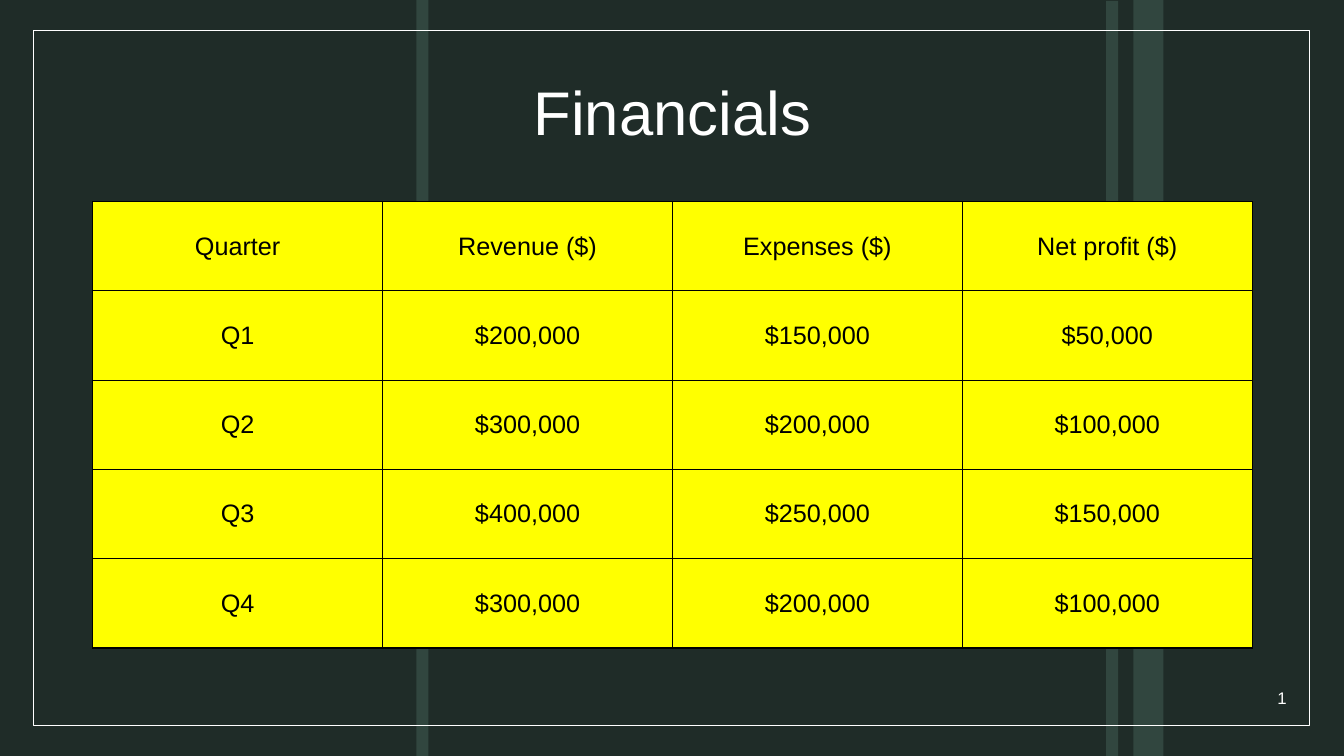
from lxml import etree
from pptx import Presentation
from pptx.dml.color import RGBColor
from pptx.enum import shapes, text
from pptx.oxml import ns
from pptx.util import Inches, Pt

DARK = RGBColor(0x1F, 0x2C, 0x28)
GREEN = RGBColor(0x31, 0x46, 0x3F)
WHITE = RGBColor(0xFF, 0xFF, 0xFF)
YELLOW = RGBColor(0xFF, 0xFF, 0x00)
BLACK = RGBColor(0x00, 0x00, 0x00)
FONT = "Arial"

TITLE = "Financials"
ROWS = [
    ("Quarter", "Revenue ($)", "Expenses ($)", "Net profit ($)"),
    ("Q1", "$200,000", "$150,000", "$50,000"),
    ("Q2", "$300,000", "$200,000", "$100,000"),
    ("Q3", "$400,000", "$250,000", "$150,000"),
    ("Q4", "$300,000", "$200,000", "$100,000"),
]
BANDS = [(10.97, 0.01, 0.12), (4.13, 0, 0.12), (11.24, 0, 0.3)]
FRAME = (0.33, 0.3, 12.66, 6.9)
TITLE_BOX = (0.42, 0.42, 12.5, 1.45)
TABLE_BOX = (0.92, 2, 11.5, 4.43)
NUMBER_BOX = (11.94, 6.72, 0.92, 0.4)


def box(dims):
    return [Inches(d) for d in dims]


def add_rect(s, dims):
    sp = s.shapes.add_shape(shapes.MSO_SHAPE.RECTANGLE, *box(dims))
    sp.shadow.inherit = False
    return sp


def format_text(tf, size, color, align):
    tf.vertical_anchor = text.MSO_ANCHOR.MIDDLE
    p = tf.paragraphs[0]
    p.alignment = align
    for r in p.runs:
        r.font.name = FONT
        r.font.size = Pt(size)
        r.font.color.rgb = color


def add_borders(cell):
    tc_pr = cell._tc.get_or_add_tcPr()
    for i, side in enumerate(("lnL", "lnR", "lnT", "lnB")):
        ln = etree.Element(ns.qn("a:" + side), w=str(Pt(1)))
        fill = etree.SubElement(ln, ns.qn("a:solidFill"))
        etree.SubElement(fill, ns.qn("a:srgbClr"), val=str(BLACK))
        tc_pr.insert(i, ln)


def add_background(s):
    s.background.fill.solid()
    s.background.fill.fore_color.rgb = DARK
    for left, top, width in BANDS:
        band = add_rect(s, (left, top, width, 7.5 - top))
        band.fill.solid()
        band.fill.fore_color.rgb = GREEN
        band.line.fill.background()
    frame = add_rect(s, FRAME)
    frame.fill.background()
    frame.line.color.rgb = WHITE
    frame.line.width = Pt(1)


def add_title(s):
    title = s.shapes.title
    title.left, title.top, title.width, title.height = box(TITLE_BOX)
    title.text_frame.text = TITLE
    title.text_frame.paragraphs[0].line_spacing = 0.9
    format_text(title.text_frame, 44, WHITE, text.PP_ALIGN.CENTER)


def add_financials(s):
    table = s.shapes.add_table(len(ROWS), len(ROWS[0]), *box(TABLE_BOX)).table
    table.first_row = False
    table.horz_banding = False
    for i, row in enumerate(ROWS):
        for j, value in enumerate(row):
            cell = table.cell(i, j)
            cell.text_frame.text = value
            format_text(cell.text_frame, 18, BLACK, text.PP_ALIGN.CENTER)
            cell.vertical_anchor = text.MSO_ANCHOR.MIDDLE
            cell.fill.solid()
            cell.fill.fore_color.rgb = YELLOW
            add_borders(cell)


def add_slide_number(s):
    tf = s.shapes.add_textbox(*box(NUMBER_BOX)).text_frame
    tf.word_wrap = True
    tf.text = "1"
    format_text(tf, 12, WHITE, text.PP_ALIGN.RIGHT)
    r = tf.paragraphs[0].runs[0]._r
    r.tag = ns.qn("a:fld")
    r.set("id", "{B6F15528-21DE-4FAA-801E-634DDDAF4B2B}")
    r.set("type", "slidenum")


def main():
    prs = Presentation()
    prs.slide_width, prs.slide_height = Inches(13.33), Inches(7.5)
    s = prs.slides.add_slide(prs.slide_layouts[5])
    add_background(s)
    add_title(s)
    add_financials(s)
    add_slide_number(s)
    prs.save("out.pptx")


if __name__ == "__main__":
    main()
